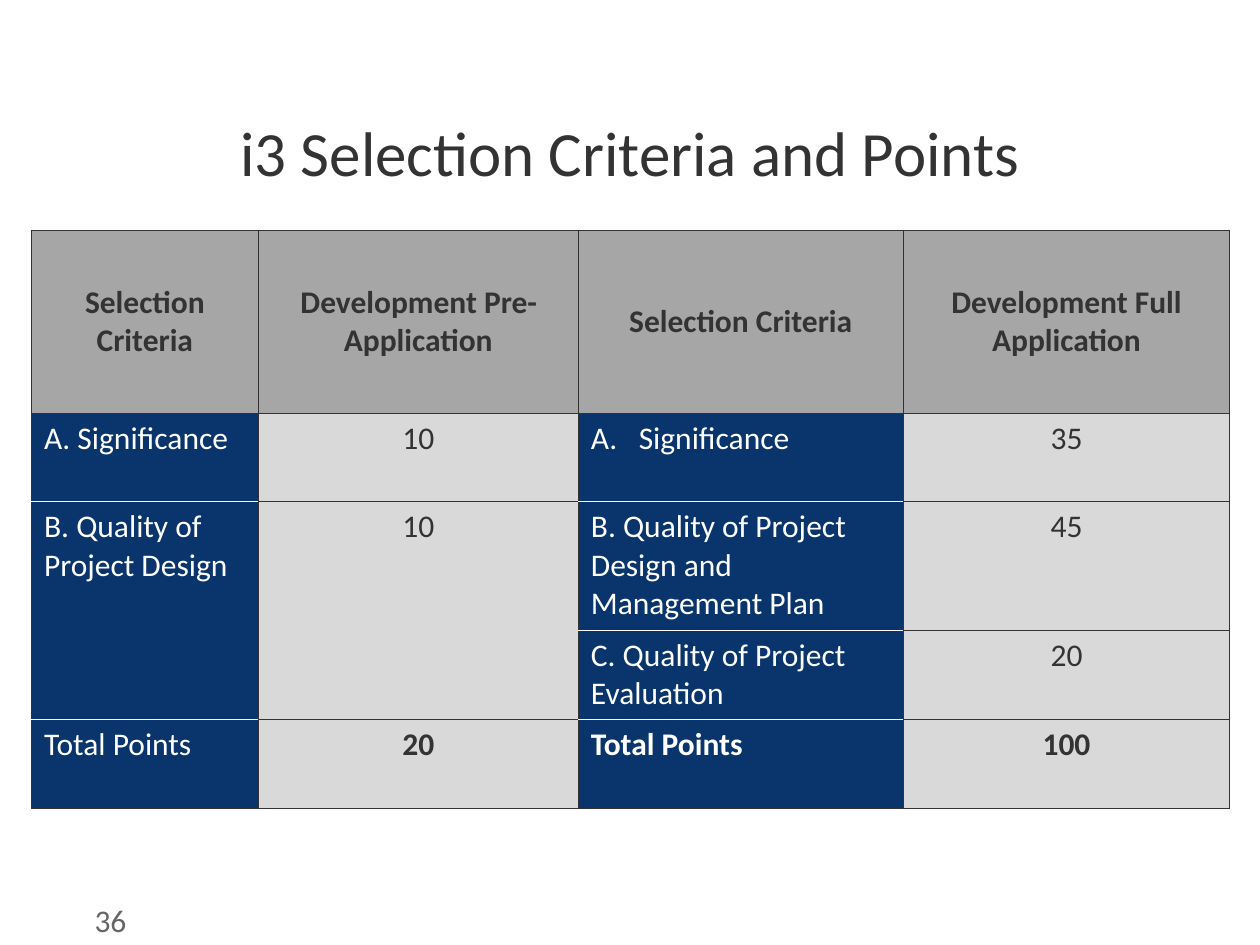
from lxml import etree
from pptx import Presentation
from pptx.dml.color import RGBColor
from pptx.enum.text import MSO_ANCHOR, PP_ALIGN
from pptx.oxml.ns import qn
from pptx.util import Inches, Pt

CENTER, LEFT = PP_ALIGN.CENTER, PP_ALIGN.LEFT
TOP, MIDDLE, BOTTOM = MSO_ANCHOR.TOP, MSO_ANCHOR.MIDDLE, MSO_ANCHOR.BOTTOM
FONT = "Calibri"
COLORS = {"ink": "333333", "header": "A6A6A6", "label": "09356C",
          "points": "D9D9D9", "white": "FFFFFF", "number": "666666"}
COLUMNS = [1.8, 2.54, 2.58, 2.59]
ROWS = [1.45, 0.7, 1.02, 0.71, 0.71]
CRITERIA = [
    ["Selection Criteria", "Development Pre-Application",
     "Selection Criteria", "Development Full Application"],
    ["A. Significance", "10", "Significance", "35"],
    ["B. Quality of Project Design", "10",
     "B. Quality of Project Design and Management Plan", "45"],
    ["", "", "C. Quality of Project Evaluation", "20"],
    ["Total Points", "20", "Total Points", "100"],
]
LAST = len(ROWS) - 1


def place(shape, left, top, width, height):
    """Set the position and size of a shape in inches."""
    shape.left, shape.top = Inches(left), Inches(top)
    shape.width, shape.height = Inches(width), Inches(height)


def write(para, text, size, color, align=LEFT, bold=False):
    """Add one formatted run to a paragraph."""
    para.alignment = align
    span = para.add_run()
    span.text = text
    span.font.name = FONT
    span.font.size = Pt(size)
    span.font.bold = bold
    span.font.color.rgb = RGBColor.from_string(COLORS[color])


def number_with_letter(para):
    """Give a paragraph an automatic white capital-letter number."""
    props = para._p.get_or_add_pPr()
    props.set("marL", str(Inches(0.38)))
    props.set("indent", str(-Inches(0.38)))
    tint = etree.SubElement(props, qn("a:buClr"))
    etree.SubElement(tint, qn("a:srgbClr"), val=COLORS["white"])
    etree.SubElement(props, qn("a:buAutoNum"), type="alphaUcPeriod")


def draw_borders(cell, top, bottom):
    """Draw thin borders, with chosen colours above and below the cell."""
    props = cell._tc.get_or_add_tcPr()
    sides = [("L", "ink"), ("R", "ink"), ("T", top), ("B", bottom)]
    for position, (side, color) in enumerate(sides):
        line = etree.Element(qn(f"a:ln{side}"), w=str(Pt(0.45)))
        fill = etree.SubElement(line, qn("a:solidFill"))
        etree.SubElement(fill, qn("a:srgbClr"), val=COLORS[color])
        props.insert(position, line)


def format_cell(cell, row, column, text):
    """Style and fill one cell by its role in the table."""
    header, label = row == 0, column % 2 == 0
    role = "header" if header else "label" if label else "points"
    cell.fill.solid()
    cell.fill.fore_color.rgb = RGBColor.from_string(COLORS[role])
    cell.vertical_anchor = MIDDLE if header else TOP
    separated = role == "label"
    draw_borders(cell, "white" if separated and row > 1 else "ink",
                 "white" if separated and row < LAST else "ink")
    if text:
        para = cell.text_frame.paragraphs[0]
        write(para, text, 18, "white" if separated else "ink",
              LEFT if separated else CENTER,
              header or (row == LAST and column > 0))
        if (row, column) == (1, 2):
            number_with_letter(para)


def add_criteria_table(page):
    """Add the table of selection criteria and points."""
    frame = page.shapes.add_table(
        len(ROWS), len(COLUMNS), Inches(0.25), Inches(1.83),
        Inches(sum(COLUMNS)), Inches(sum(ROWS)))
    table = frame.table
    table.first_row = table.horz_banding = False
    for column, width in zip(table.columns, COLUMNS):
        column.width = Inches(width)
    for row, height in zip(table.rows, ROWS):
        row.height = Inches(height)
    for row, texts in enumerate(CRITERIA):
        for column, text in enumerate(texts):
            format_cell(table.cell(row, column), row, column, text)
    for column in (0, 1):
        table.cell(2, column).merge(table.cell(3, column))


def add_title(page):
    """Place and fill the title placeholder."""
    title = page.shapes.title
    place(title, 0.5, 0.3, 9, 1.25)
    title.text_frame.vertical_anchor = BOTTOM
    write(title.text_frame.paragraphs[0], "i3 Selection Criteria and Points",
          36, "ink", CENTER)


def add_page_number(page):
    """Add the page number at the lower left."""
    box = page.shapes.add_textbox(
        Inches(0.75), Inches(7.1), Inches(0.58), Inches(0.4))
    frame = box.text_frame
    frame.word_wrap = True
    frame.margin_left = frame.margin_right = 0
    write(frame.paragraphs[0], "36", 18, "number")


def main():
    """Build and save the slide."""
    deck = Presentation()
    deck.slide_width, deck.slide_height = Inches(10), Inches(7.5)
    page = deck.slides.add_slide(deck.slide_layouts[5])
    add_page_number(page)
    add_title(page)
    add_criteria_table(page)
    deck.save("out.pptx")


if __name__ == "__main__":
    main()
